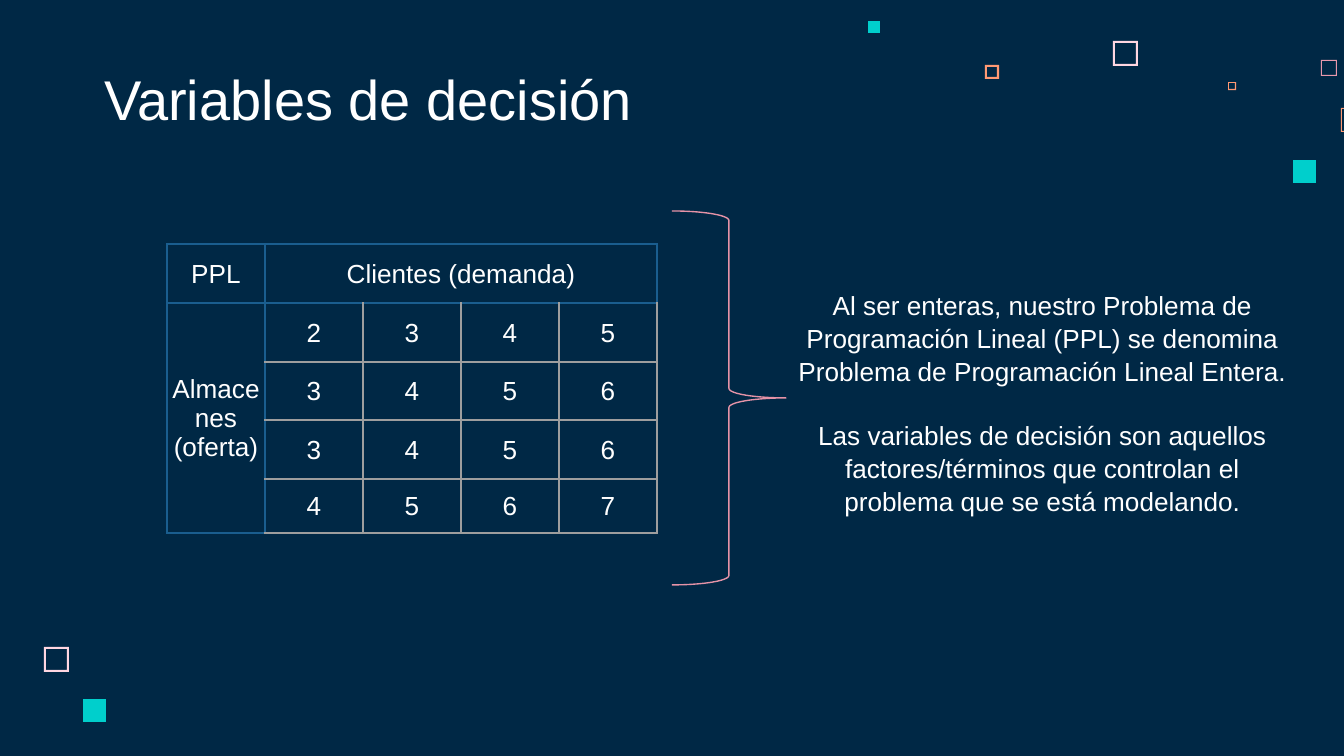
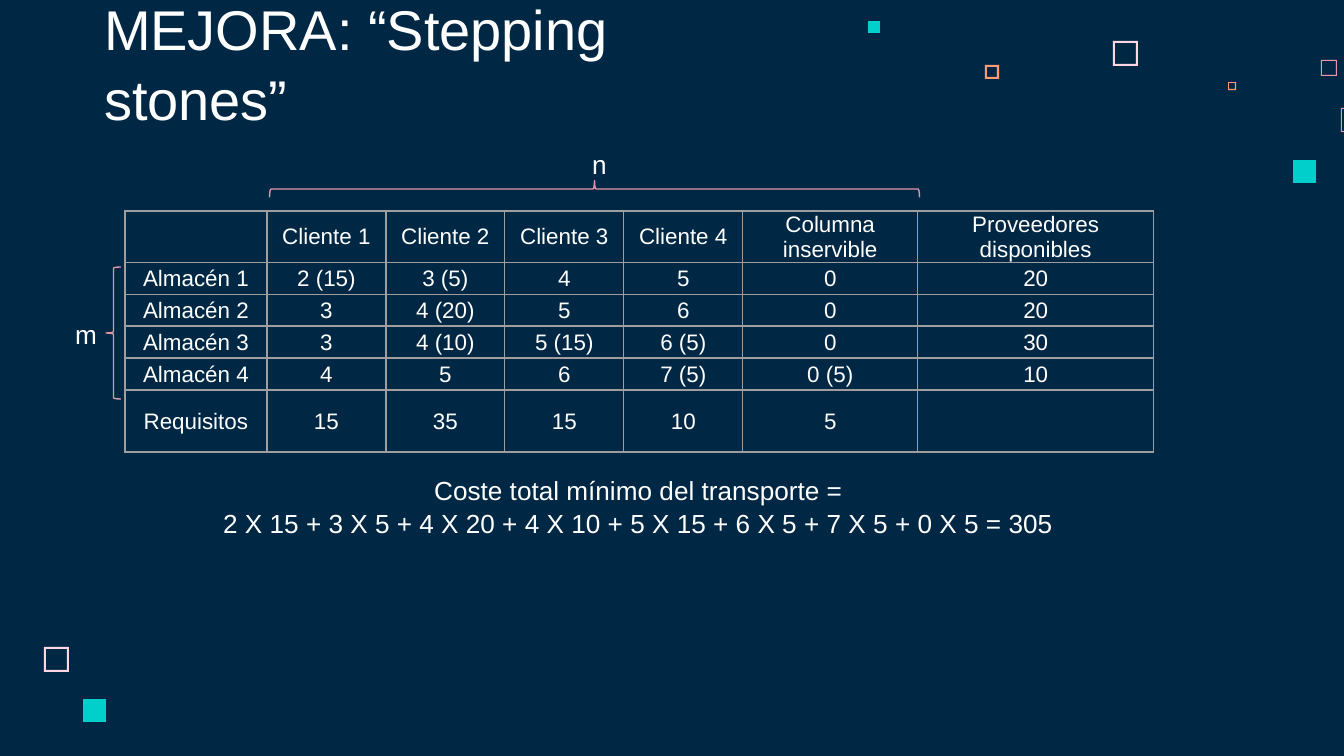
import pptx
import pptx.dml.color
import pptx.enum.shapes
import pptx.enum.text
import pptx.oxml.ns
import pptx.util
from lxml import etree

RGBColor = pptx.dml.color.RGBColor
Shape = pptx.enum.shapes.MSO_SHAPE
Align = pptx.enum.text.PP_ALIGN
Anchor = pptx.enum.text.MSO_ANCHOR
AutoSize = pptx.enum.text.MSO_AUTO_SIZE
qn = pptx.oxml.ns.qn

NAVY = RGBColor(0x00, 0x28, 0x45)
WHITE = RGBColor(0xFF, 0xFF, 0xFF)
TURQUOISE = RGBColor(0x00, 0xCF, 0xCC)
BLUSH = RGBColor(0xFF, 0xD6, 0xE1)
PINK = RGBColor(0xE8, 0x98, 0xAC)
ORANGE = RGBColor(0xFF, 0x99, 0x73)
ROSE = RGBColor(0xE5, 0x93, 0xA7)
GREY = RGBColor(0x9E, 0x9E, 0x9E)
BLUE = RGBColor(0x1A, 0x5E, 0x8F)

FONT = "Arial"
EMU_PER_PX = 914400 / 134.4
WIDTH, HEIGHT = 1344, 756

# Decorative squares: left, top, side, border (0 means solid), colour
SQUARES = [
    (1113, 41, 25, 2, BLUSH),
    (1321, 60, 16, 1, PINK),
    (1228, 82, 8, 1, ORANGE),
    (1341, 108, 24, 1, ORANGE),
    (1293, 160, 23, 0, TURQUOISE),
    (985, 65, 14, 2, ORANGE),
    (868, 21, 12, 0, TURQUOISE),
    (44, 647, 25, 2, BLUSH),
    (83, 699, 23, 0, TURQUOISE),
]


def px(*lengths):
    return [pptx.util.Emu(round(length * EMU_PER_PX)) for length in lengths]


class Sheet:
    """Holds the style of the deck and the slide being drawn."""

    def __init__(self):
        self.deck = pptx.Presentation()
        self.deck.slide_width, self.deck.slide_height = px(WIDTH, HEIGHT)
        background = self.deck.slide_master.background.fill
        background.solid()
        background.fore_color.rgb = NAVY
        self.layout = self.deck.slide_layouts[5]
        for holder in list(self.layout.placeholders)[1:]:
            self.layout.shapes.element.remove(holder.element)
        self.page = None

    def new_page(self, title):
        self.page = self.deck.slides.add_slide(self.layout)
        box = self.page.shapes.title
        box.left, box.top, box.width, box.height = px(91, 60, 695, 85)
        frame = box.text_frame
        frame.auto_size = AutoSize.NONE
        frame.vertical_anchor = Anchor.BOTTOM
        self.inset(frame, 13, 13, 13, 13)
        self.set_text(frame, [title], 30, Align.LEFT, 1.05)

    @staticmethod
    def inset(holder, left, top, right, bottom):
        (holder.margin_left, holder.margin_top,
         holder.margin_right, holder.margin_bottom) = px(left, top, right, bottom)

    @staticmethod
    def set_text(frame, lines, size, align, spacing=1.0, gap=0):
        frame.word_wrap = True
        frame.text = "\n".join(lines)
        for para in frame.paragraphs:
            para.alignment = align
            para.line_spacing = spacing
            para.space_before = pptx.util.Pt(0)
            para.space_after = pptx.util.Pt(gap)
            para.font.name = FONT
            para.font.size = pptx.util.Pt(size)
            para.font.color.rgb = WHITE

    def text(self, left, top, width, height, lines, align=Align.LEFT, gap=0):
        box = self.page.shapes.add_textbox(*px(left, top, width, height))
        self.set_text(box.text_frame, lines, 14, align, 1.05, gap)

    def square(self, left, top, side, border, color):
        right, bottom = left + side, top + side
        outline = self.page.shapes.build_freeform(left, top, scale=EMU_PER_PX)
        outline.add_line_segments(
            [(left, bottom), (right, bottom), (right, top)], close=True)
        if border:
            # The hole runs the other way round
            left, top = left + border, top + border
            right, bottom = right - border, bottom - border
            outline.move_to(right, top)
            outline.add_line_segments(
                [(right, bottom), (left, bottom), (left, top)], close=True)
        shape = outline.convert_to_shape()
        shape.shadow.inherit = False
        shape.fill.solid()
        shape.fill.fore_color.rgb = color
        shape.line.fill.background()
        return shape

    def share_squares(self):
        """Puts the decoration on the layout, behind every slide."""
        for item in SQUARES:
            self.layout.shapes.element.append(self.square(*item).element)

    def brace(self, kind, left, top, width, height, rotation=0):
        shape = self.page.shapes.add_shape(kind, *px(left, top, width, height))
        shape.rotation = rotation
        shape.shadow.inherit = False
        shape.fill.background()
        shape.line.color.rgb = ROSE
        shape.line.width = pptx.util.Pt(0.75)

    @staticmethod
    def borders(cell, blue_sides):
        properties = cell._tc.get_or_add_tcPr()
        for side in "LRTB":
            color, points = (BLUE, 1) if side in blue_sides else (GREY, 0.75)
            line = etree.SubElement(properties, qn("a:ln" + side),
                                    w=str(pptx.util.Pt(points)))
            fill = etree.SubElement(line, qn("a:solidFill"))
            etree.SubElement(fill, qn("a:srgbClr"), val=str(color))

    def table(self, left, top, widths, heights, rows, size, blue_sides, merges=()):
        """blue_sides(row, column) names the edges drawn in blue."""
        frame = self.page.shapes.add_table(
            len(heights), len(widths),
            *px(left, top, sum(widths), sum(heights)))
        table = frame.table
        table.first_row = table.horz_banding = False
        for column, width in zip(table.columns, px(*widths)):
            column.width = width
        for row, height in zip(table.rows, px(*heights)):
            row.height = height
        for r, values in enumerate(rows):
            for c, value in enumerate(values):
                cell = table.cell(r, c)
                self.borders(cell, blue_sides(r, c))
                cell.fill.background()
                cell.vertical_anchor = Anchor.MIDDLE
                self.inset(cell, 1, 1, 1, 0)
                self.set_text(cell.text_frame, value.split("\n"), size, Align.CENTER)
        for first, last in merges:
            table.cell(*first).merge(table.cell(*last))


def header_sides(row, column):
    if row == 0 or column == 0:
        return "LRTB"
    return ("T" if row == 1 else "") + ("L" if column == 1 else "")


def draw_variables(sheet):
    sheet.new_page("Variables de decisión")
    sheet.share_squares()
    rows = [
        ["PPL", "Clientes (demanda)", "", "", ""],
        ["Almacenes\n(oferta)", "2", "3", "4", "5"],
        ["", "3", "4", "5", "6"],
        ["", "3", "4", "5", "6"],
        ["", "4", "5", "6", "7"],
    ]
    sheet.table(167, 244, [98] * 5, [59, 59, 58, 59, 54], rows, 14, header_sides,
                merges=[((0, 1), (0, 4)), ((1, 0), (4, 0))])
    sheet.brace(Shape.RIGHT_BRACE, 672, 211, 114, 374)
    sheet.text(781, 281, 523, 235, [
        "Al ser enteras, nuestro Problema de Programación Lineal (PPL) "
        "se denomina Problema de Programación Lineal Entera.",
        "Las variables de decisión son aquellos factores/términos "
        "que controlan el problema que se está modelando.",
    ], Align.CENTER, gap=17)


def draw_stepping_stones(sheet):
    sheet.new_page("MEJORA: “Stepping stones”")
    rows = [
        ["", "Cliente 1", "Cliente 2", "Cliente 3", "Cliente 4",
         "Columna inservible", "Proveedores disponibles"],
        ["Almacén 1", "2 (15)", "3 (5)", "4", "5", "0", "20"],
        ["Almacén 2", "3", "4 (20)", "5", "6", "0", "20"],
        ["Almacén 3", "3", "4 (10)", "5 (15)", "6 (5)", "0", "30"],
        ["Almacén 4", "4", "5", "6", "7 (5)", "0 (5)", "10"],
        ["Requisitos", "15", "35", "15", "10", "5", ""],
    ]
    sheet.table(125, 211, [142] + [119] * 4 + [175, 236], [32] * 5 + [62],
                rows, 12, lambda row, column: "")
    # Braces with the table's dimensions, m by n
    sheet.brace(Shape.LEFT_BRACE, 106, 267, 15, 132)
    sheet.brace(Shape.LEFT_BRACE, 586, -136, 17, 650, rotation=90)
    sheet.text(62, 310, 683, 46, ["m"])
    sheet.text(579, 140, 683, 46, ["n"])
    sheet.text(121, 466, 1035, 77, [
        "Coste total mínimo del transporte =",
        "2 X 15 + 3 X 5 + 4 X 20 + 4 X 10 + 5 X 15 + 6 X 5 + 7 X 5 + 0 X 5 = 305",
    ], Align.CENTER)


def main():
    sheet = Sheet()
    draw_variables(sheet)
    draw_stepping_stones(sheet)
    sheet.deck.save("out.pptx")


if __name__ == "__main__":
    main()
